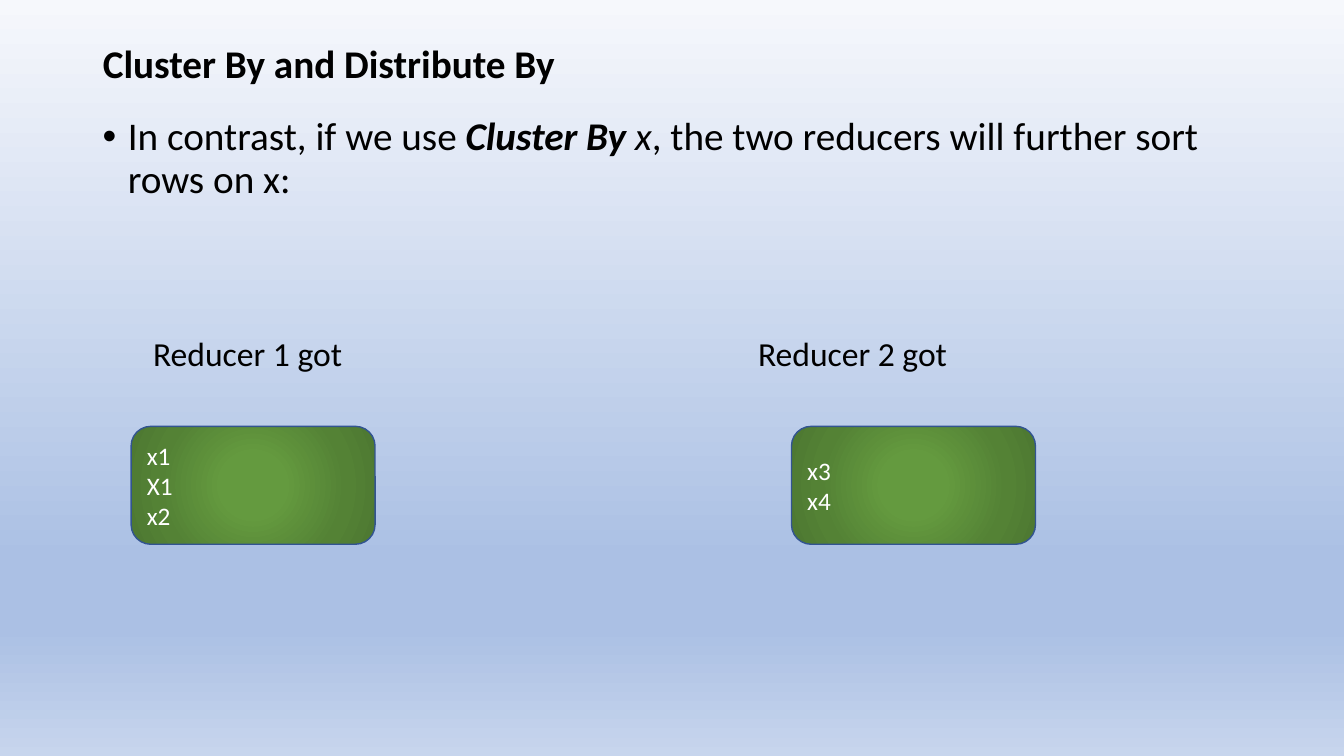
from dataclasses import dataclass

from lxml.etree import SubElement
from pptx import Presentation
from pptx.dml.color import RGBColor
from pptx.enum.shapes import MSO_SHAPE
from pptx.enum.text import MSO_ANCHOR as Anchor, MSO_AUTO_SIZE as AutoSize, PP_ALIGN as Align
from pptx.oxml.ns import qn
from pptx.util import Inches, Pt

COLORS = {
    "text": "000000",
    "box_text": "FFFFFF",
    "box_line": "325491",
    "sky_top": "F6F8FC",
    "sky_deep": "ABC0E4",
    "sky_bottom": "C7D5ED",
    "green_light": "649A3F",
    "green_mid": "548235",
    "green_dark": "4E7932",
}
BACKGROUND_STOPS = [(0, "sky_top"), (74, "sky_deep"), (83, "sky_deep"), (100, "sky_bottom")]
BOX_STOPS = [(0, "green_light"), (23, "green_light"), (69, "green_mid"), (97, "green_dark")]


@dataclass
class Run:
    text: str
    bold: bool = False
    italic: bool = False


@dataclass
class Reducer:
    label: str
    label_left: float
    box_left: float
    rows: list[str]


REDUCERS = [
    Reducer("Reducer 1 got", 1.42, 1.3, ["x1", "X1", "x2"]),
    Reducer("Reducer 2 got", 7.42, 7.85, ["x3", "x4"]),
]


def set_gradient(element, stops: list, radial: bool = False) -> None:
    gradient = element.find(".//" + qn("a:gradFill"))
    for child in list(gradient):
        gradient.remove(child)
    stop_list = SubElement(gradient, qn("a:gsLst"))
    for position, color in stops:
        stop = SubElement(stop_list, qn("a:gs"), pos=str(position * 1000))
        SubElement(stop, qn("a:srgbClr"), val=COLORS[color])
    if radial:
        direction = SubElement(gradient, qn("a:path"), path="circle")
        edges = dict.fromkeys("ltrb", "50000")
        SubElement(direction, qn("a:fillToRect"), edges)
    else:
        SubElement(gradient, qn("a:lin"), ang="5400000", scaled="0")


def add_bullet(paragraph, indent: float) -> None:
    properties = paragraph._p.get_or_add_pPr()
    properties.set("marL", str(Inches(indent)))
    properties.set("indent", str(-Inches(indent)))
    SubElement(properties, qn("a:buFont"), typeface="Arial")
    SubElement(properties, qn("a:buChar"), char="•")


def write_text(shape, paragraphs: list[list[Run]], *, size: int, color: str = "text",
               anchor=Anchor.MIDDLE, line_spacing: float = 1.0, bullet: bool = False) -> None:
    frame = shape.text_frame
    frame.word_wrap = True
    frame.auto_size = AutoSize.NONE
    frame.vertical_anchor = anchor
    for index, runs in enumerate(paragraphs):
        paragraph = frame.add_paragraph() if index else frame.paragraphs[0]
        if bullet:
            add_bullet(paragraph, 0.25)
        paragraph.alignment = Align.LEFT
        paragraph.line_spacing = line_spacing
        for item in runs:
            run = paragraph.add_run()
            run.text = item.text
            font = run.font
            font.name = "Calibri"
            font.size = Pt(size)
            font.bold = item.bold
            font.italic = item.italic
            font.color.rgb = RGBColor.from_string(COLORS[color])


def add_text(slide, left: float, top: float, width: float, height: float,
             paragraphs: list[list[Run]], **text_format) -> None:
    box = slide.shapes.add_textbox(Inches(left), Inches(top), Inches(width), Inches(height))
    write_text(box, paragraphs, **text_format)


def add_reducer(slide, reducer: Reducer) -> None:
    add_text(slide, reducer.label_left, 3.28, 2.42, 0.5, [[Run(reducer.label)]],
             size=24, line_spacing=0.9)
    box = slide.shapes.add_shape(MSO_SHAPE.ROUNDED_RECTANGLE, Inches(reducer.box_left),
                                 Inches(4.23), Inches(2.42), Inches(1.17))
    box.shadow.inherit = False
    box.fill.gradient()
    set_gradient(box.element, BOX_STOPS, radial=True)
    box.line.color.rgb = RGBColor.from_string(COLORS["box_line"])
    box.line.width = Pt(1)
    write_text(box, [[Run(row)] for row in reducer.rows], size=18, color="box_text")


def main() -> None:
    presentation = Presentation()
    presentation.slide_width = Inches(13.33)
    presentation.slide_height = Inches(7.5)
    slide = presentation.slides.add_slide(presentation.slide_layouts[5])
    slide.background.fill.gradient()
    set_gradient(slide.element, BACKGROUND_STOPS)

    title = slide.shapes.title
    title.left, title.top = Inches(0.92), Inches(0.4)
    title.width, title.height = Inches(11.5), Inches(0.5)
    write_text(title, [[Run("Cluster By and Distribute By", bold=True)]],
               size=28, line_spacing=0.9)

    contrast = [
        Run("In contrast, if we use "),
        Run("Cluster By", bold=True, italic=True),
        Run(" x", italic=True),
        Run(", the two reducers will further sort rows on x:"),
    ]
    add_text(slide, 0.92, 1.11, 11.5, 1.0, [contrast], size=28, anchor=Anchor.TOP,
             line_spacing=0.9, bullet=True)

    for reducer in REDUCERS:
        add_reducer(slide, reducer)
    presentation.save("out.pptx")


if __name__ == "__main__":
    main()
